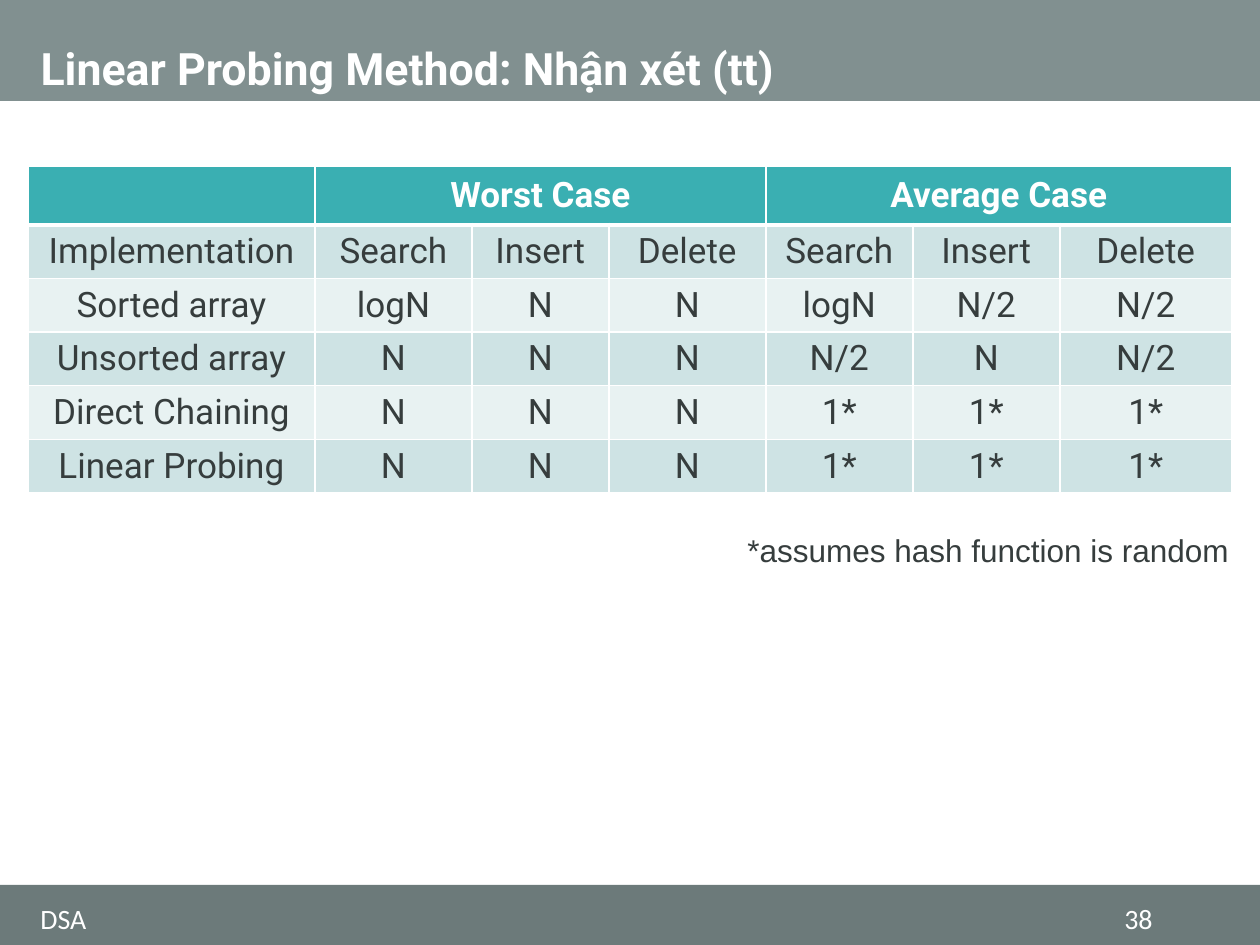
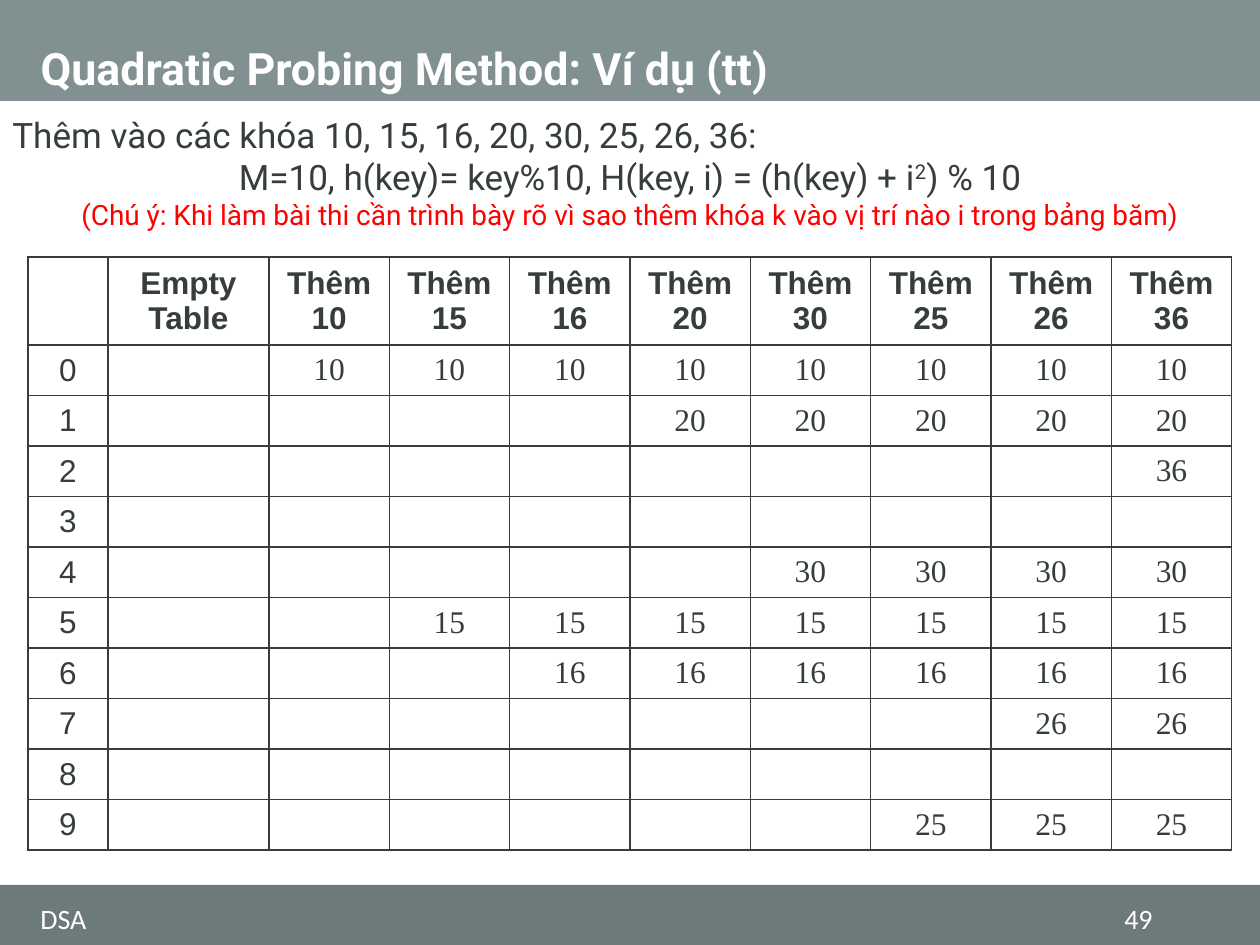
"""Build two slides on hash table probing: a cost comparison and a quadratic probing example."""
from lxml import etree
from pptx import Presentation
from pptx.dml.color import RGBColor
from pptx.enum.shapes import MSO_SHAPE
from pptx.enum.text import MSO_ANCHOR, MSO_AUTO_SIZE, PP_ALIGN
from pptx.oxml.ns import qn
from pptx.util import Emu, Pt

PX = 914400 / 126
WIDTH, HEIGHT = 1260, 945
MARGIN, CONTENT_WIDTH = 28, 1204
WHITE = RGBColor(0xFF, 0xFF, 0xFF)
INK = RGBColor(0x36, 0x3D, 0x3D)
RED = RGBColor(0xFF, 0x00, 0x00)
TITLE_BAND = RGBColor(0x81, 0x90, 0x90)
FOOTER_BAND = RGBColor(0x6C, 0x7A, 0x7A)
TEAL = RGBColor(0x3A, 0xAF, 0xB2)
STRIPES = [RGBColor(0xE8, 0xF2, 0xF2), RGBColor(0xCE, 0xE3, 0xE4)]


def style_text(paragraph, size, font, color, bold=False, align=PP_ALIGN.LEFT):
    paragraph.alignment = align
    for span in paragraph.runs:
        span.font.size = Pt(size)
        span.font.name = font
        span.font.color.rgb = color
        span.font.bold = bold


def add_grid(page, top, height, header_height, widths, rows, line_color, header_line=1):
    bounds = [Emu(round(value * PX)) for value in (MARGIN, top, sum(widths), height)]
    table = page.shapes.add_table(len(rows), len(widths), *bounds).table
    for column, width in zip(table.columns, widths):
        column.width = Emu(round(width * PX))
    row_height = (height - header_height) / (len(rows) - 1)
    for row_index, texts in enumerate(rows):
        table.rows[row_index].height = Emu(round((row_height if row_index else header_height) * PX))
        for column_index, text in enumerate(texts):
            cell = table.cell(row_index, column_index)
            cell.text = text
            cell.vertical_anchor = MSO_ANCHOR.MIDDLE
            cell.margin_top = cell.margin_bottom = 0
            for side in "LRTB":
                under_header = (row_index, side) in [(0, "B"), (1, "T")]
                line_width = Pt(header_line if under_header else 1)
                line = etree.SubElement(cell._tc.get_or_add_tcPr(), qn(f"a:ln{side}"), w=str(line_width))
                solid = etree.SubElement(line, qn("a:solidFill"))
                etree.SubElement(solid, qn("a:srgbClr"), val=str(line_color))
            cell.fill.background()
    return table


deck = Presentation()
deck.slide_width, deck.slide_height = Emu(round(WIDTH * PX)), Emu(round(HEIGHT * PX))
layout = deck.slide_layouts[5]
titles = [("Linear Probing Method: Nhận xét (tt)", "38"), ("Quadratic Probing Method: Ví dụ (tt)", "49")]
pages = [deck.slides.add_slide(layout) for _ in titles]

for position, (top, height, color) in enumerate([(0, 101, TITLE_BAND), (885, 60, FOOTER_BAND)], 2):
    bounds = [Emu(round(value * PX)) for value in (0, top, WIDTH, height)]
    band = pages[0].shapes.add_shape(MSO_SHAPE.RECTANGLE, *bounds)
    band.shadow.inherit = False
    band.fill.solid()
    band.fill.fore_color.rgb = color
    band.line.fill.background()
    layout.shapes.element.insert(position, band.element)

for page, (heading, number) in zip(pages, titles):
    title = page.shapes.title
    title.left, title.top, title.width, title.height = [
        Emu(round(value * PX)) for value in (MARGIN, 0, CONTENT_WIDTH, 101)]
    title.text_frame.text = heading
    title.text_frame.auto_size = MSO_AUTO_SIZE.NONE
    title.text_frame.vertical_anchor = MSO_ANCHOR.BOTTOM
    title.text_frame.paragraphs[0].line_spacing = 0.9
    style_text(title.text_frame.paragraphs[0], 25.5, "Roboto", WHITE, True)
    for left, width, text, align in [(MARGIN, 876, "DSA", PP_ALIGN.LEFT), (1067, 98, number, PP_ALIGN.RIGHT)]:
        footer = page.shapes.add_textbox(*[Emu(round(value * PX)) for value in (left, 902, width, 33)])
        footer.text_frame.word_wrap = True
        footer.text_frame.vertical_anchor = MSO_ANCHOR.MIDDLE
        footer.text_frame.text = text
        style_text(footer.text_frame.paragraphs[0], 16, "Calibri", WHITE, align=align)

comparison, example = pages

operations = ["Search", "Insert", "Delete"]
cost_rows = [
    ["", "Worst Case", "", "", "Average Case", "", ""],
    ["Implementation", *operations, *operations],
    ["Sorted array", "logN", "N", "N", "logN", "N/2", "N/2"],
    ["Unsorted array", "N", "N", "N", "N/2", "N", "N/2"],
    ["Direct Chaining", "N", "N", "N", "1*", "1*", "1*"],
    ["Linear Probing", "N", "N", "N", "1*", "1*", "1*"],
]
costs = add_grid(comparison, 166, 327, 59, [287, 157, 137, 157, 147, 147, 172], cost_rows, WHITE, 3)
for row_index, row in enumerate(costs.rows):
    for cell in row.cells:
        cell.fill.solid()
        cell.fill.fore_color.rgb = STRIPES[row_index % 2] if row_index else TEAL
        style_text(cell.text_frame.paragraphs[0], 20, "Roboto", INK if row_index else WHITE,
                   row_index == 0, PP_ALIGN.CENTER)
for first in (1, 4):
    costs.cell(0, first).merge(costs.cell(0, first + 2))

note = comparison.shapes.add_textbox(*[Emu(round(value * PX)) for value in (735, 525, 512, 50)])
note.text_frame.word_wrap = False
note.text_frame.text = "*assumes hash function is random"
style_text(note.text_frame.paragraphs[0], 18, "Arial", INK)

keys = [10, 15, 16, 20, 30, 25, 26, 36]
intro = example.shapes.add_textbox(*[Emu(round(value * PX)) for value in (0, 107, WIDTH, 131)])
intro.text_frame.word_wrap = True
intro.text_frame.text = f"Thêm vào các khóa {', '.join(map(str, keys))}:"
formula = intro.text_frame.add_paragraph()
for text in ("M=10, h(key)= key%10, H(key, i) = (h(key) + i", "2", ") % 10"):
    formula.add_run().text = text
formula.runs[1]._r.get_or_add_rPr().set("baseline", "30000")
reminder = intro.text_frame.add_paragraph()
reminder.text = "(Chú ý: Khi làm bài thi cần trình bày rõ vì sao thêm khóa k vào vị trí nào i trong bảng băm)"
style_text(intro.text_frame.paragraphs[0], 20, "Roboto", INK)
style_text(formula, 20, "Roboto", INK, align=PP_ALIGN.CENTER)
style_text(reminder, 16, "Roboto", RED, align=PP_ALIGN.CENTER)

slots = [""] * 10
probing_columns = [["", *map(str, range(10))], ["Empty Table", *slots]]
for key in keys:
    probes = [(key + step ** 2) % 10 for step in range(10)]
    free_slot = next(slot for slot in probes if not slots[slot])
    slots[free_slot] = str(key)
    probing_columns.append([f"Thêm {key}", *slots])
key_width = (CONTENT_WIDTH - 80 - 161) / len(keys)
probing = add_grid(example, 257, 593, 88, [80, 161] + [key_width] * len(keys),
                   list(zip(*probing_columns)), INK)
for row_index, row in enumerate(probing.rows):
    for column_index, cell in enumerate(row.cells):
        font = "Times New Roman" if row_index and column_index else "Arial"
        for paragraph in cell.text_frame.paragraphs:
            style_text(paragraph, 18, font, INK, row_index == 0, PP_ALIGN.CENTER)

deck.save("out.pptx")
